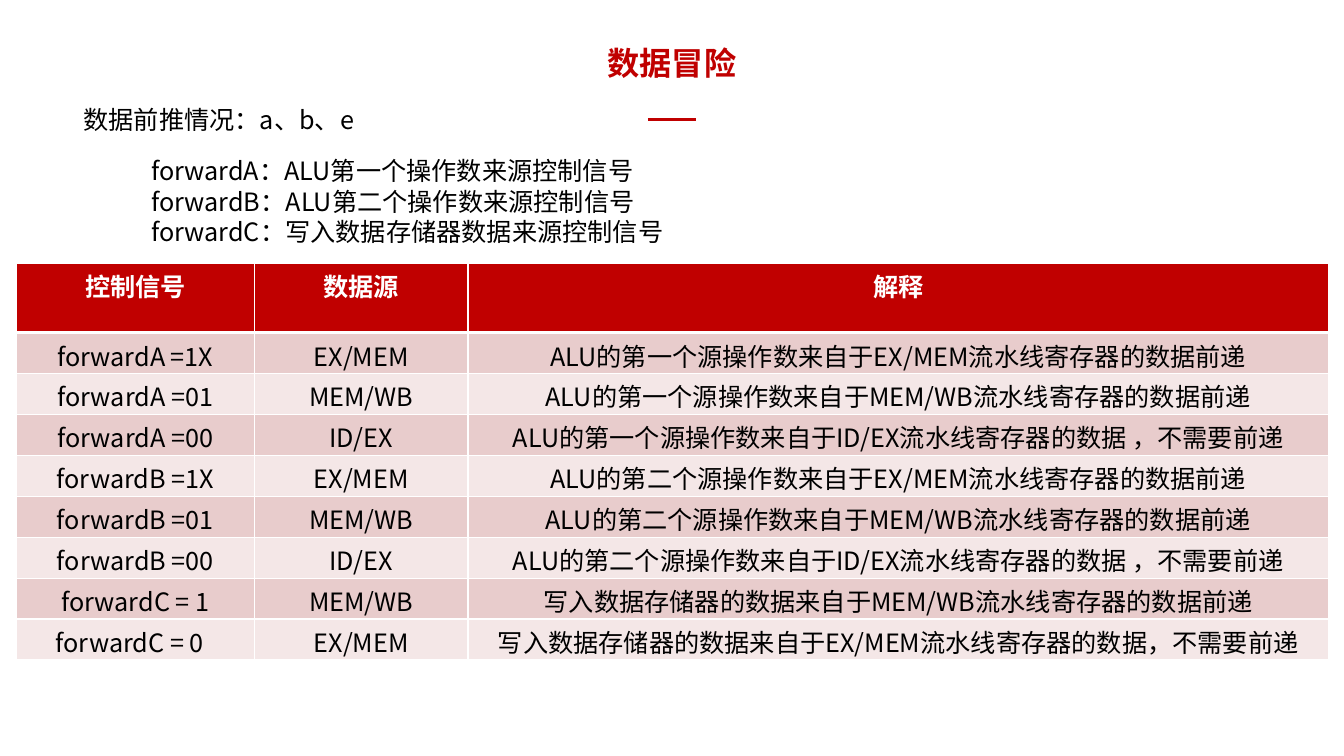
import dataclasses
import pptx
import pptx.util
import pptx.dml.color
import pptx.enum.shapes
import pptx.enum.text
import pptx.oxml
import pptx.oxml.ns
import lxml.etree

Pt = pptx.util.Pt
RGB = pptx.dml.color.RGBColor.from_string
ALIGN = pptx.enum.text.PP_ALIGN
ANCHOR = pptx.enum.text.MSO_ANCHOR
qn = pptx.oxml.ns.qn


@dataclasses.dataclass(frozen=True)
class Theme:
    font: str = "Noto Sans CJK SC"
    red: str = "C00000"
    white: str = "FFFFFF"
    black: str = "000000"
    bands: tuple = ("E8CCCC", "F4E7E7")
    title: int = 23
    body: int = 18


T = Theme()

SIGNALS = [
    "forwardA：ALU第一个操作数来源控制信号",
    "forwardB：ALU第二个操作数来源控制信号",
    "forwardC：写入数据存储器数据来源控制信号",
]
HEADER = ("控制信号", "数据源", "解释")
ROWS = [
    ("forwardA =1X", "EX/MEM", "ALU的第一个源操作数来自于EX/MEM流水线寄存器的数据前递"),
    ("forwardA =01", "MEM/WB", "ALU的第一个源操作数来自于MEM/WB流水线寄存器的数据前递"),
    ("forwardA =00", "ID/EX", "ALU的第一个源操作数来自于ID/EX流水线寄存器的数据 ，不需要前递"),
    ("forwardB =1X", "EX/MEM", "ALU的第二个源操作数来自于EX/MEM流水线寄存器的数据前递"),
    ("forwardB =01", "MEM/WB", "ALU的第二个源操作数来自于MEM/WB流水线寄存器的数据前递"),
    ("forwardB =00", "ID/EX", "ALU的第二个源操作数来自于ID/EX流水线寄存器的数据 ，不需要前递"),
    ("forwardC = 1", "MEM/WB", "写入数据存储器的数据来自于MEM/WB流水线寄存器的数据前递"),
    ("forwardC = 0", "EX/MEM", "写入数据存储器的数据来自于EX/MEM流水线寄存器的数据，不需要前递"),
]


def place(sp, x, y, w, h):
    sp.left, sp.top, sp.width, sp.height = Pt(x), Pt(y), Pt(w), Pt(h)


def write(tf, lines, size, color, bold=False, align=ALIGN.LEFT):
    tf.text = "\n".join(lines)
    for p in tf.paragraphs:
        p.alignment = align
        p.space_before = Pt(0)
        f = p.font
        f.name, f.size, f.bold = T.font, Pt(size), bold
        f.color.rgb = RGB(color)
        props = p._p.find(".//" + qn("a:defRPr"))
        lxml.etree.SubElement(props, qn("a:ea")).set("typeface", T.font)


def fit_frame(tf, anchor):
    tf.word_wrap = True
    tf.auto_size = pptx.enum.text.MSO_AUTO_SIZE.NONE
    tf.vertical_anchor = anchor


def add_heading(slide, x, y, w, h):
    title = slide.shapes.title
    place(title, x, y, w, h)
    fit_frame(title.text_frame, ANCHOR.MIDDLE)
    write(title.text_frame, ["数据冒险"], T.title, T.red, True, ALIGN.CENTER)
    rule_x, rule_y = x + 82.8, y + 59
    rule = slide.shapes.add_connector(
        pptx.enum.shapes.MSO_CONNECTOR.STRAIGHT,
        Pt(rule_x), Pt(rule_y), Pt(rule_x + 34), Pt(rule_y))
    rule.line.color.rgb = RGB(T.red)
    rule.line.width = Pt(2)
    lxml.etree.SubElement(rule._element.spPr, qn("a:effectLst"))


def add_intro(slide, x, y, w, h):
    lead = slide.shapes.add_textbox(Pt(x), Pt(y), Pt(w), Pt(29))
    fit_frame(lead.text_frame, ANCHOR.MIDDLE)
    write(lead.text_frame, ["数据前推情况：a、b、e"], T.body, T.black)
    body = slide.placeholders[1]
    place(body, x + 48.2, y + 36.7, w - 132, h - 36.7)
    fit_frame(body.text_frame, ANCHOR.TOP)
    write(body.text_frame, SIGNALS, T.body, T.black)
    for p in body.text_frame.paragraphs:
        p.line_spacing = Pt(21.7)
        props = p._p.get_or_add_pPr()
        props.set("marL", "0")
        props.set("indent", "0")
        props.find(qn("a:defRPr")).addprevious(
            pptx.oxml.parse_xml('<a:buNone xmlns:a="%s"/>' % pptx.oxml.ns.nsdecls("a").split('"')[1]))


def set_borders(cell, bottom):
    props = cell._tc.get_or_add_tcPr()
    for i, (side, width) in enumerate((("L", 1), ("R", 1), ("T", 1), ("B", bottom))):
        ln = lxml.etree.Element(qn("a:ln" + side), w=str(Pt(width)))
        fill = lxml.etree.SubElement(ln, qn("a:solidFill"))
        lxml.etree.SubElement(fill, qn("a:srgbClr"), val=T.white)
        props.insert(i, ln)


def add_signal_table(slide, x, y, w, h):
    header_h = 49.7
    row_h = (h - header_h) / len(ROWS)
    first, second = 170, 152.6
    table = slide.shapes.add_table(len(ROWS) + 1, 3, Pt(x), Pt(y), Pt(w), Pt(h)).table
    for col, width in zip(table.columns, (first, second, w - first - second)):
        col.width = Pt(width)
    for r, texts in enumerate([HEADER] + ROWS):
        head = r == 0
        table.rows[r].height = Pt(header_h if head else row_h)
        for c, text in enumerate(texts):
            cell = table.cell(r, c)
            cell.margin_top, cell.margin_bottom = Pt(3), Pt(0)
            cell.fill.solid()
            cell.fill.fore_color.rgb = RGB(T.red if head else T.bands[(r - 1) % 2])
            write(cell.text_frame, [text], T.body, T.white if head else T.black, head, ALIGN.CENTER)
            set_borders(cell, 3 if head else 1)
    table.cell(len(ROWS), 0).margin_right = Pt(15.2)


def add_hazard_slide(prs):
    slide = prs.slides.add_slide(prs.slide_layouts[1])
    add_heading(slide, 380, 26.6, 200, 36)
    add_intro(slide, 52.6, 70.6, 820.8, 109.4)
    add_signal_table(slide, 11.7, 187.9, 937.2, 283.7)


def main():
    prs = pptx.Presentation()
    prs.slide_width, prs.slide_height = Pt(960), Pt(540)
    add_hazard_slide(prs)
    prs.save("out.pptx")


if __name__ == "__main__":
    main()
